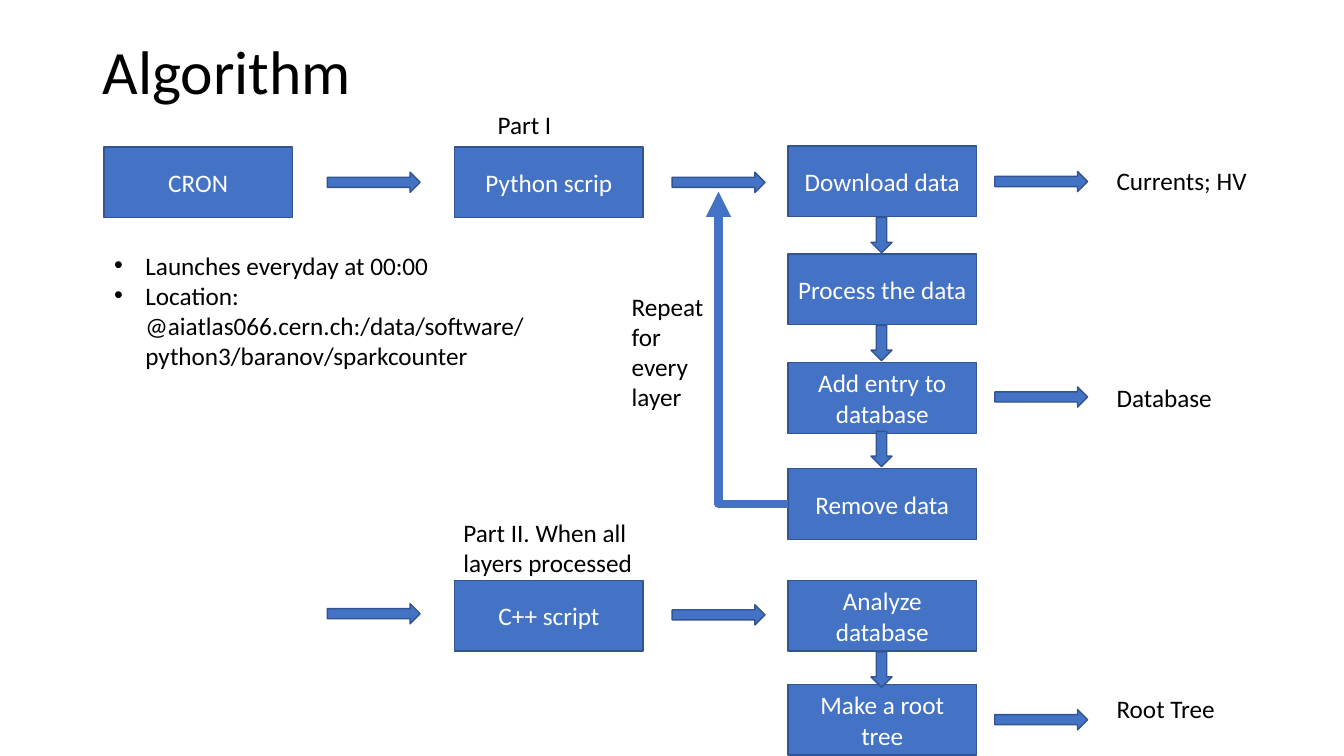
from lxml.etree import SubElement
from pptx import Presentation
from pptx.dml.color import RGBColor
from pptx.enum.shapes import MSO_CONNECTOR, MSO_SHAPE
from pptx.enum.text import MSO_ANCHOR, MSO_AUTO_SIZE, PP_ALIGN
from pptx.oxml.ns import qn
from pptx.util import Cm, Pt

FONT = "Calibri"
BLUE, OUTLINE, BLACK, WHITE = "4472C4", "325491", "000000", "FFFFFF"
BOX_WIDTH, BOX_HEIGHT = 4.75, 1.78
CRON_X, SCRIPT_X, STEP_X = 2.62, 11.46, 19.86
TO_SCRIPT_X, TO_STEP_X, TO_OUTPUT_X = 8.25, 16.94, 25.07
OUTPUT_X = 27.89


def color(value):
    return RGBColor.from_string(value)


def set_font(para, size, value):
    para.font.name = FONT
    para.font.size = Pt(size)
    para.font.color.rgb = color(value)


def place(shape, left, top, width, height):
    shape.left, shape.top = Cm(left), Cm(top)
    shape.width, shape.height = Cm(width), Cm(height)


def add_block(page, kind, left, top, width, height):
    block = page.shapes.add_shape(kind, Cm(left), Cm(top), Cm(width), Cm(height))
    block.shadow.inherit = False
    block.fill.solid()
    block.fill.fore_color.rgb = color(BLUE)
    block.line.color.rgb = color(OUTLINE)
    block.line.width = Pt(1)
    return block


def add_step(page, text, left, top):
    box = add_block(page, MSO_SHAPE.RECTANGLE, left, top, BOX_WIDTH, BOX_HEIGHT)
    frame = box.text_frame
    frame.word_wrap = True
    frame.vertical_anchor = MSO_ANCHOR.MIDDLE
    para = frame.paragraphs[0]
    para.text = text
    para.alignment = PP_ALIGN.CENTER
    set_font(para, 18, WHITE)


def add_right_arrow(page, left, top):
    add_block(page, MSO_SHAPE.RIGHT_ARROW, left, top, 2.34, 0.51)


def add_down_arrow(page, top):
    arrow = add_block(page, MSO_SHAPE.RIGHT_ARROW, 21.77, top, 0.89, 0.53)
    arrow.rotation = 90


def add_label(page, text, left, top, width, height=1.02):
    label = page.shapes.add_textbox(Cm(left), Cm(top), Cm(width), Cm(height))
    label.text_frame.word_wrap = True
    para = label.text_frame.paragraphs[0]
    para.text = text
    set_font(para, 18, BLACK)


def add_loop(page, start, end):
    loop = page.shapes.add_connector(
        MSO_CONNECTOR.ELBOW, *(Cm(value) for value in start + end))
    loop.line.color.rgb = color(BLUE)
    loop.line.width = Pt(6)
    # One bend, an arrowhead and no shadow
    properties = loop.element.spPr
    properties.find(qn("a:prstGeom")).set("prst", "bentConnector2")
    SubElement(properties.find(qn("a:ln")), qn("a:tailEnd"), type="triangle")
    SubElement(properties, qn("a:effectLst"))


def fill_title(title, text):
    place(title, 2.33, 0.05, 29.21, 3.68)
    title.text_frame.vertical_anchor = MSO_ANCHOR.MIDDLE
    para = title.text_frame.paragraphs[0]
    para.text = text
    para.alignment = PP_ALIGN.LEFT
    para.line_spacing = 0.9
    set_font(para, 44, BLACK)


def fill_list(body, items):
    place(body, 2.62, 6.17, 10.95, 3.33)
    frame = body.text_frame
    frame.auto_size = MSO_AUTO_SIZE.NONE
    frame.text = "\n".join(items)
    for para in frame.paragraphs:
        properties = para._p.get_or_add_pPr()
        properties.set("marL", str(Cm(0.79)))
        properties.set("indent", str(Cm(-0.79)))
        para.space_before = Pt(0)
        SubElement(properties, qn("a:buFont"), typeface="Arial")
        SubElement(properties, qn("a:buChar"), char="•")
        set_font(para, 18, BLACK)


def main():
    deck = Presentation()
    deck.slide_width, deck.slide_height = Cm(33.87), Cm(19.05)
    page = deck.slides.add_slide(deck.slide_layouts[1])

    # Title and notes on the scheduler
    fill_title(page.shapes.title, "Algorithm")
    fill_list(page.placeholders[1], [
        "Launches everyday at 00:00",
        "Location: @aiatlas066.cern.ch:/data/software/python3/baranov/sparkcounter",
    ])

    # Scheduler, scripts and their steps
    for text, left, top in [
        ("CRON", CRON_X, 3.71),
        ("Python scrip", SCRIPT_X, 3.71),
        ("Download data", STEP_X, 3.68),
        ("Process the data", STEP_X, 6.4),
        ("Add entry to database", STEP_X, 9.14),
        ("Remove data", STEP_X, 11.81),
        ("C++ script", SCRIPT_X, 14.63),
        ("Analyze database", STEP_X, 14.63),
        ("Make a root tree", STEP_X, 17.25),
    ]:
        add_step(page, text, left, top)

    # Arrows between the columns
    for left, top in [
        (TO_SCRIPT_X, 4.34), (TO_STEP_X, 4.34),
        (TO_SCRIPT_X, 15.21), (TO_STEP_X, 15.24),
        (TO_OUTPUT_X, 4.32), (TO_OUTPUT_X, 9.75), (TO_OUTPUT_X, 17.88),
    ]:
        add_right_arrow(page, left, top)

    # Arrows down the steps, and the loop back
    for top in (5.66, 8.38, 11.05, 16.61):
        add_down_arrow(page, top)
    add_loop(page, (STEP_X, 12.7), (18.11, 4.83))

    # Outputs
    for text, top in [("Currents; HV", 4.04), ("Database", 9.5), ("Root Tree", 17.35)]:
        add_label(page, text, OUTPUT_X, top, 5.23)

    # Captions
    add_label(page, "Part I", 12.29, 2.64, 2.34)
    add_label(page, "Repeat for every layer", 15.67, 7.21, 2.34, 3.33)
    add_label(page, "Part II. When all layers processed", 11.43, 12.9, 6.1, 1.8)

    deck.save("out.pptx")


if __name__ == "__main__":
    main()
